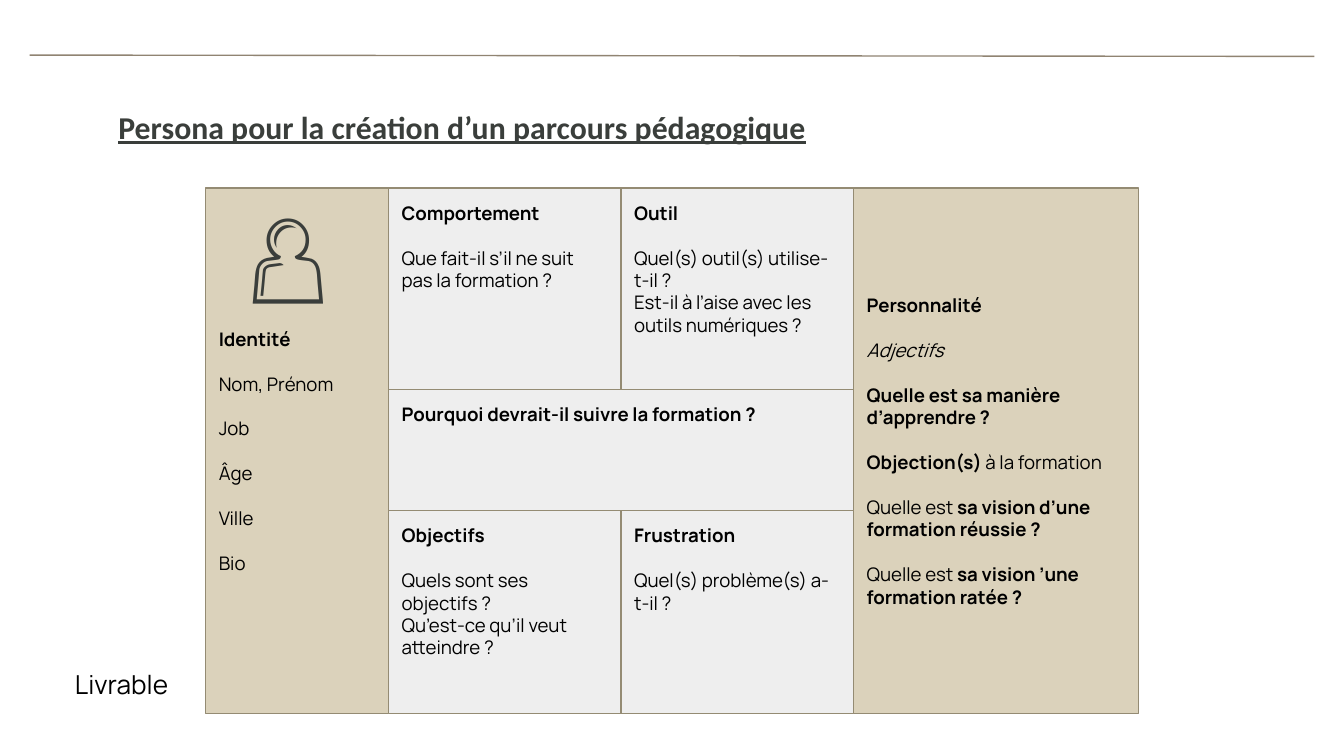
from lxml import etree
from pptx import Presentation
from pptx.dml.color import RGBColor as RGB
from pptx.enum.shapes import MSO_CONNECTOR as Link, MSO_SHAPE as Shape
from pptx.enum.text import MSO_ANCHOR as Anchor, MSO_AUTO_SIZE as Auto, PP_ALIGN as Align
from pptx.oxml.ns import qn
from pptx.util import Inches, Pt

HUES = {"sand": "DBD2BB", "pale": "EEEEEE", "edge": "948B73",
        "rule": "908472", "dark": "3A3E3B", "black": "000000"}


def write(para, text, size=10, face="Manrope", hue="black", bold=False, italic=False, under=False):
    run = para.add_run()
    run.text = text
    font = run.font
    font.size, font.name = Pt(size), face
    font.bold, font.italic, font.underline = bold, italic, under
    font.color.rgb = RGB.from_string(HUES[hue])
    para.alignment = Align.LEFT


def setup(frame, pad=0.1, anchor=Anchor.TOP):
    frame.word_wrap = True
    frame.auto_size = Auto.NONE
    frame.vertical_anchor = anchor
    frame.margin_left = frame.margin_right = Inches(0.1)
    frame.margin_top = frame.margin_bottom = Inches(pad)


deck = Presentation()
deck.slide_width = Inches(10)
deck.slide_height = deck.slide_width * 9 // 16
slide = deck.slides.add_slide(deck.slide_layouts[5])
shapes = slide.shapes

title = shapes.title
title.left, title.top, title.width, title.height = map(Inches, (0.78, 0.75, 9, 0.39))
setup(title.text_frame, pad=0.05)
write(title.text_frame.paragraphs[0], "Persona pour la création d’un parcours pédagogique",
      size=17, face="Calibri", hue="dark", bold=True, under=True)

rule = shapes.add_connector(Link.STRAIGHT, Inches(0.22), Inches(0.41), Inches(9.78), Inches(0.42))
rule.line.color.rgb = RGB.from_string(HUES["rule"])
rule.line.width = Pt(0.75)
etree.SubElement(rule._element.spPr, qn("a:effectLst"))

xs = [1.53, 2.89, 4.62, 6.35, 8.47]
ys = [1.4, 2.9, 3.8, 5.31]

cards = [
    (0, 1, 0, 3, "sand", [[("Identité", "bold")], [("Nom, Prénom", "")], [("Job", "")],
                          [("Âge", "")], [("Ville", "")], [("Bio", "")]]),
    (1, 2, 0, 1, "pale", [[("Comportement", "bold")],
                          [("Que fait-il s’il ne suit pas la formation ?", "")]]),
    (1, 2, 2, 3, "pale", [[("Objectifs", "bold")], [("Quels sont ses objectifs ?", "")],
                          [("Qu’est-ce qu’il veut atteindre ?", "tight")]]),
    (2, 3, 0, 1, "pale", [[("Outil", "bold")], [("Quel(s) outil(s) utilise-t-il ?", "")],
                          [("Est-il à l’aise avec les outils numériques ?", "tight")]]),
    (2, 3, 2, 3, "pale", [[("Frustration", "bold")], [("Quel(s) problème(s) a-t-il ?", "")]]),
    (1, 3, 1, 2, "pale", [[("Pourquoi devrait-il suivre la formation ?", "bold")]]),
    (3, 4, 0, 3, "sand", [[("Personnalité", "bold")], [("Adjectifs", "italic")],
                          [("Quelle est sa manière d’apprendre ?", "bold")],
                          [("Objection(s)", "bold"), (" à la formation", "")],
                          [("Quelle est ", ""), ("sa vision d’une formation réussie ?", "bold")],
                          [("Quelle est ", ""), ("sa vision ’une formation ratée ?", "bold")]]),
]
for left, right, top, low, fill, paras in cards:
    card = shapes.add_shape(Shape.RECTANGLE, Inches(xs[left]), Inches(ys[top]),
                            Inches(xs[right] - xs[left]), Inches(ys[low] - ys[top]))
    card.shadow.inherit = False
    card.fill.solid()
    card.fill.fore_color.rgb = RGB.from_string(HUES[fill])
    card.line.color.rgb = RGB.from_string(HUES["edge"])
    card.line.width = Pt(0.75)
    frame = card.text_frame
    setup(frame, anchor=Anchor.MIDDLE if fill == "sand" else Anchor.TOP)
    for i, runs in enumerate(paras):
        para = frame.add_paragraph() if i else frame.paragraphs[0]
        if i and runs[0][1] != "tight":
            para.space_before = Pt(12)
        for text, style in runs:
            write(para, text, bold=style == "bold", italic=style == "italic")

labels = [
    ("👤", (1.76, 1.4, 0.85, 0.94), 0.05, {"size": 50, "face": "Calibri", "hue": "dark", "bold": True}),
    ("Livrable", (0.46, 4.87, 1.07, 0.44), 0.1, {"size": 14}),
]
for text, place, pad, style in labels:
    box = shapes.add_textbox(*map(Inches, place))
    setup(box.text_frame, pad=pad)
    write(box.text_frame.paragraphs[0], text, **style)

deck.save("out.pptx")
